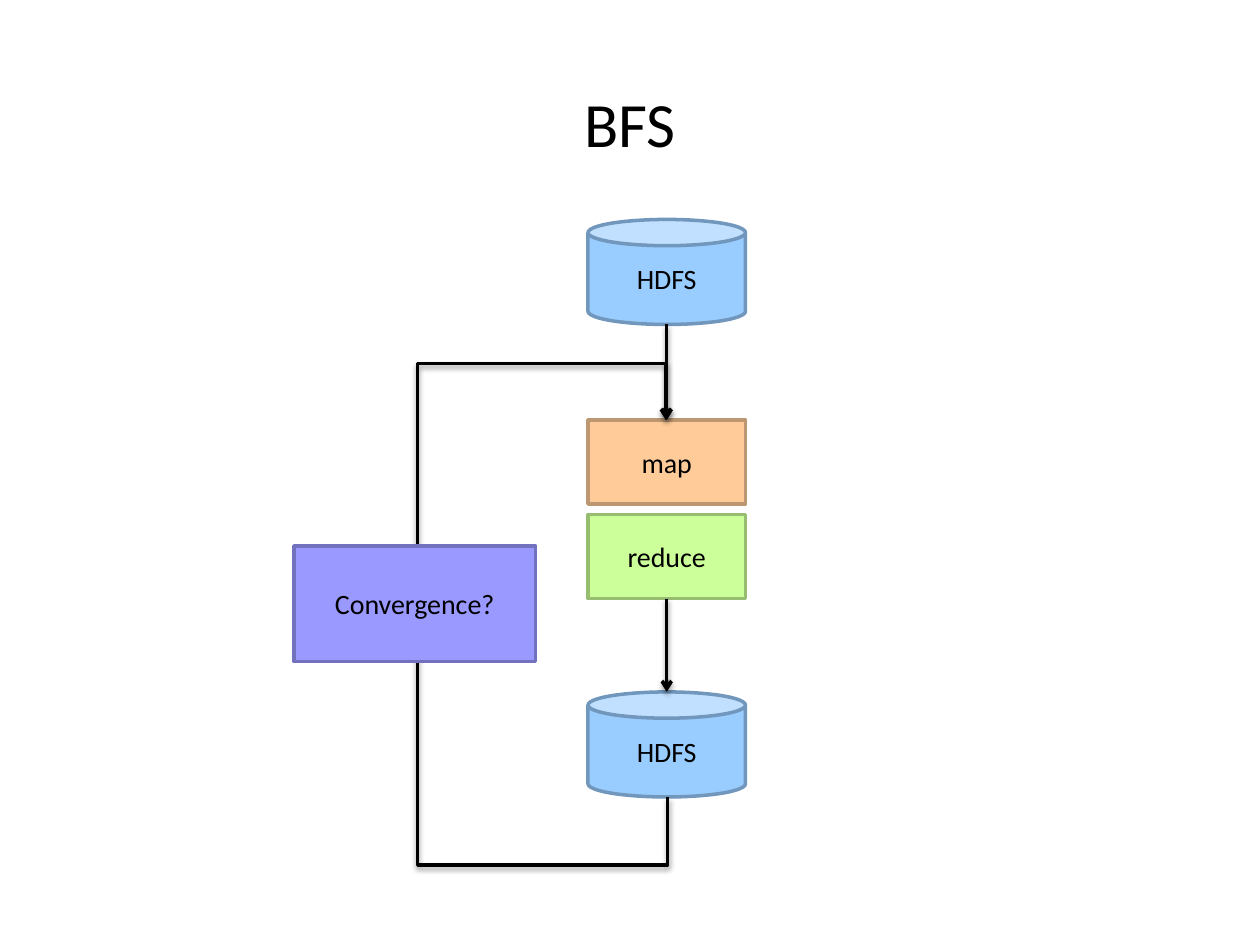
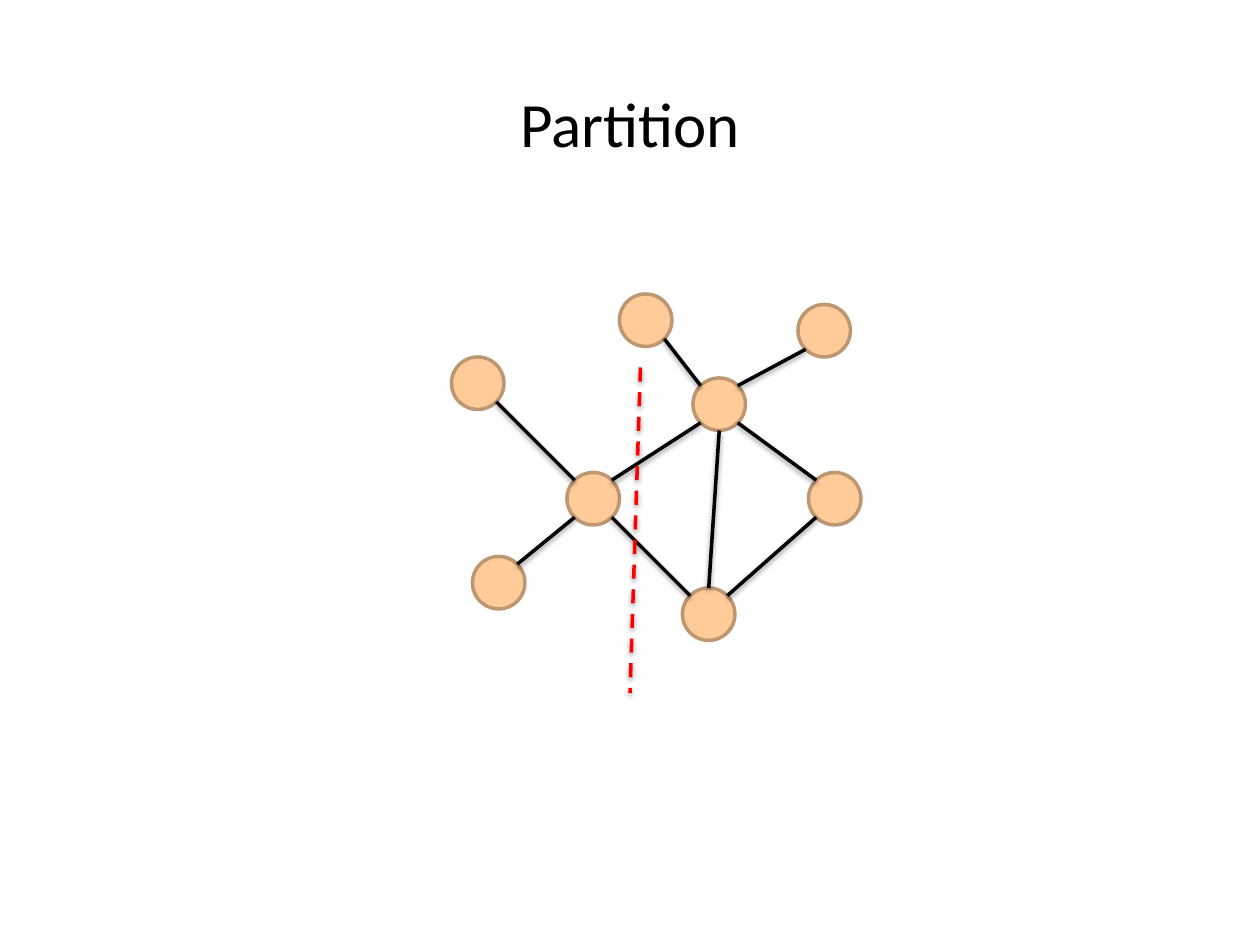
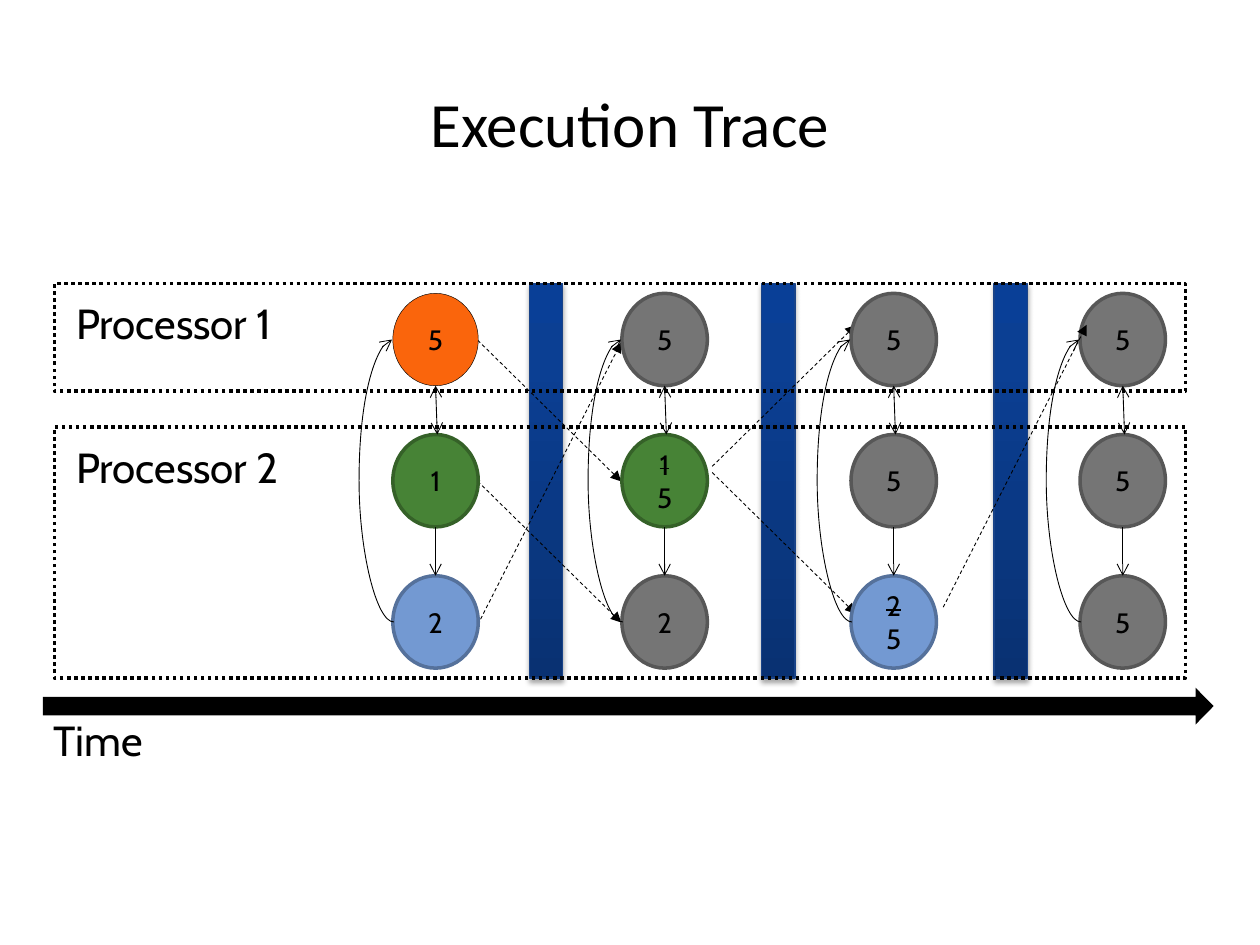
import math
from copy import deepcopy

from pptx import Presentation
from pptx.dml.color import RGBColor
from pptx.enum import dml, shapes, text
from pptx.oxml import ns
from pptx.oxml.xmlchemy import OxmlElement
from pptx.util import Pt

BLACK, RED = "000000", "FF0000"
# Fill and outline pairs
PEACH = ("FFCC99", "BD9771")
LIME = ("CCFF99", "97BD71")
SKY = ("99CCFF", "7197BD")
VIOLET = ("9999FF", "7171BD")
GRAY = ("757575", "575757")
GREEN = ("478336", "356128")
BLUE = ("7399D2", "55719B")
ORANGE = ("FA650C", BLACK)
BARRIER_STOPS = ((0, "093172"), (0.8, "0B3F93"), (1, "093F97"))
BODY, TRACE = "Calibri", "Cabin"

KIND = shapes.MSO_SHAPE
LINK = shapes.MSO_CONNECTOR
DASH = dml.MSO_LINE
CENTER = text.PP_ALIGN.CENTER
MIDDLE = text.MSO_ANCHOR.MIDDLE


def rgb(value):
    return RGBColor.from_string(value)


def child(parent, tag, **attributes):
    element = OxmlElement(tag)
    for name, value in attributes.items():
        element.set(name, str(value))
    parent.append(element)
    return element


# Shared formatting
def set_shadow(item, alpha=0, distance=1.6):
    """Give a soft shadow below, or none when alpha is 0."""
    effects = child(item._element.spPr, "a:effectLst")
    if alpha:
        outer = child(effects, "a:outerShdw", blurRad=Pt(3.1), dist=Pt(distance),
                      dir=5400000, rotWithShape=0)
        color = child(outer, "a:srgbClr", val=BLACK)
        child(color, "a:alpha", val=alpha * 1000)


def set_line(line, color, width, dash=None):
    line.color.rgb = rgb(color)
    line.width = Pt(width)
    if dash:
        line.dash_style = dash


def set_text(frame, words, size, font, align=None, anchor=None):
    frame.text = words
    frame.word_wrap = True
    frame.vertical_anchor = anchor
    for para in frame.paragraphs:
        para.alignment = align
        for span in para.runs:
            span.font.size = Pt(size)
            span.font.name = font
            span.font.color.rgb = rgb(BLACK)


def set_margins(frame):
    frame.margin_left = frame.margin_right = Pt(6)
    frame.margin_top = frame.margin_bottom = Pt(3)


def add_box(page, kind, left, top, width, height, colors=None, line_width=2, dash=None):
    box = page.shapes.add_shape(kind, Pt(left), Pt(top), Pt(width), Pt(height))
    if colors:
        box.fill.solid()
        box.fill.fore_color.rgb = rgb(colors[0])
    else:
        box.fill.background()
    set_line(box.line, colors[1] if colors else BLACK, line_width, dash)
    box.shadow.inherit = False
    return box


def add_line(page, start, end, color=BLACK, width=2, dash=None, head=None, tail=None,
             shadow=0, kind=LINK.STRAIGHT):
    line = page.shapes.add_connector(kind, *(Pt(value) for value in (*start, *end)))
    set_line(line.line, color, width, dash)
    outline = line.line._get_or_add_ln()
    for tag, arrow in (("a:headEnd", head), ("a:tailEnd", tail)):
        if arrow:
            child(outline, tag, type=arrow)
    set_shadow(line, shadow)
    return line


def bend(line, preset, degrees, *factors):
    """Turn a connector and set its bends as multiples of its own size."""
    properties = line._element.spPr
    properties.find(ns.qn("a:xfrm")).set("rot", str(degrees * 60000))
    geometry = properties.find(ns.qn("a:prstGeom"))
    geometry.set("prst", preset)
    for old in list(geometry):
        geometry.remove(old)
    guides = child(geometry, "a:avLst")
    for number, factor in enumerate(factors, 1):
        child(guides, "a:gd", name=f"adj{number}", fmla=f"val {round(factor * 100000)}")


def add_page(deck, heading):
    page = deck.slides.add_slide(deck.slide_layouts[5])
    title = page.shapes.title
    title.left, title.top, title.width, title.height = Pt(0), Pt(43), deck.slide_width, Pt(54)
    set_text(title.text_frame, heading, 36, BODY, CENTER, MIDDLE)
    return page


# Iterative search flow
def draw_flow(page, left, top):
    width, store_height, step_height = 90, 60, 48
    middle = left + width / 2

    def add_step(kind, words, x, y, w, h, colors):
        step = add_box(page, kind, x, y, w, h, colors)
        set_text(step.text_frame, words, 16, BODY, CENTER, MIDDLE)
        return step

    map_top, result_top = top + 114.6, top + 270
    reduce_top = map_top + 54
    result_bottom = result_top + store_height
    add_step(KIND.CAN, "HDFS", left, top, width, store_height, SKY)
    mapper = add_step(KIND.RECTANGLE, "map", left, map_top, width, step_height, PEACH)
    reducer = add_step(KIND.RECTANGLE, "reduce", left, reduce_top, width, step_height, LIME)
    add_step(KIND.CAN, "HDFS", left, result_top, width, store_height, SKY)

    arrow = dict(tail="arrow", shadow=38)
    add_line(page, (middle, top + store_height), (middle, map_top), **arrow).end_connect(mapper, 0)
    add_line(page, (middle, reduce_top + step_height), (middle, result_top),
             **arrow).begin_connect(reducer, 2)

    # Loop from the result back to the map step, laid flat and then turned upright
    reach = result_bottom - map_top
    center = (result_bottom + map_top) / 2
    loop = add_line(page, (middle + reach / 2, center - 0.5), (middle - reach / 2, center + 0.5),
                    kind=LINK.ELBOW, **arrow)
    bend(loop, "bentConnector5", 90, -0.18, 143.9, 1.15)
    add_step(KIND.RECTANGLE, "Convergence?", left - 168, top + 186.6, 138, 66, VIOLET)


# Graph cut in two
def draw_graph(page, left, top):
    radius = 15
    nodes = dict(west=(0, 36), inner=(66, 102), hub=(138, 48), south=(132, 168),
                 southwest=(12, 150), north=(96, 0), northeast=(198, 6), east=(204, 102))
    edges = (("west", "inner"), ("inner", "hub"), ("inner", "south"), ("inner", "southwest"),
             ("north", "hub"), ("northeast", "hub"), ("east", "south"), ("east", "hub"),
             ("hub", "south"))
    centers = {}
    for name, (x, y) in nodes.items():
        add_box(page, KIND.OVAL, left + x, top + y, 2 * radius, 2 * radius, PEACH)
        centers[name] = (left + x + radius, top + y + radius)

    # Edges leave a circle at the nearest eighth of a turn
    for first, last in edges:
        (x1, y1), (x2, y2) = centers[first], centers[last]
        eighth = math.pi / 4
        angle = round(math.atan2(y2 - y1, x2 - x1) / eighth) * eighth
        dx, dy = radius * math.cos(angle), radius * math.sin(angle)
        add_line(page, (x1 + dx, y1 + dy), (x2 - dx, y2 - dy), shadow=38)
    add_line(page, (left + 108, top + 42), (left + 102, top + 228), RED, dash=DASH.DASH, shadow=38)


# Execution trace
def draw_barrier(page, left, top, width, height):
    bar = add_box(page, KIND.RECTANGLE, left, top, width, height, ("093F97", "194388"), 0.75)
    bar.fill.gradient()
    bar.fill.gradient_angle = 90
    stops = bar._element.spPr.find(".//" + ns.qn("a:gsLst"))
    stops.append(deepcopy(stops[0]))
    for stop, (position, color) in zip(bar.fill.gradient_stops, BARRIER_STOPS):
        stop.position = position
        stop.color.rgb = rgb(color)
    bar._element.spPr.remove(bar._element.spPr.find(ns.qn("a:effectLst")))
    set_shadow(bar, 35, 1.8)


def draw_stage(page, left, top, vertices):
    width, height, pitch = 48.8, 52.8, 80.7
    middle = left + width / 2
    for row, (words, colors) in enumerate(vertices):
        vertex = add_box(page, KIND.OVAL, left, top + row * pitch, width, height, colors,
                         0.25 if colors == ORANGE else 2)
        set_text(vertex.text_frame, words, 16, TRACE, CENTER, MIDDLE)
        set_margins(vertex.text_frame)
        paras = vertex.text_frame.paragraphs
        for para in paras[:-1]:  # replaced values are struck out
            para.runs[0]._r.get_or_add_rPr().set("strike", "sngStrike")
    add_line(page, (middle, top + height), (middle + 1, top + pitch), width=0.5,
             head="arrow", tail="arrow")
    add_line(page, (middle, top + pitch + height), (middle, top + 2 * pitch), width=0.5,
             tail="arrow")
    first = top + height / 2
    back = add_line(page, (left - 0.5, first), (left + 0.5, first + 2 * pitch), width=0.5,
                    tail="arrow", kind=LINK.CURVE)
    bend(back, "curvedConnector3", 180, 20)


def draw_trace(page, left, top):
    height = 225.4
    stages = ((("5", ORANGE), ("1", GREEN), ("2", BLUE)),
              (("5", GRAY), ("1\n5", GREEN), ("2", GRAY)),
              (("5", GRAY), ("5", GRAY), ("2\n5", BLUE)),
              (("5", GRAY), ("5", GRAY), ("5", GRAY)))
    # Start of each message and the rows it crosses
    messages = ((242, 32.4, 1), (242, 113, 1), (242, 195, -2),
                (376, 104.5, -1), (376, 108, 1), (508, 185, -2))

    def draw_messages(group):
        for x, y, rows in group:
            add_line(page, (left + x, top + y), (left + x + 82, top + y + rows * 80.7),
                     width=0.5, dash=DASH.DASH, tail="triangle")

    def add_label(words, x, y, width):
        label = page.shapes.add_textbox(Pt(x), Pt(y), Pt(width), Pt(35))
        set_text(label.text_frame, words, 24, TRACE)
        set_margins(label.text_frame)

    for index in range(3):
        draw_barrier(page, left + 271.5 + index * 132.8, top, 19, height)
    draw_messages(messages[:-1])
    for index, vertices in enumerate(stages):
        draw_stage(page, left + 193.5 + index * 130.9, top + 5.6, vertices)
    draw_messages(messages[-1:])

    # Processor lanes
    for words, lane_top, lane_height, label_top in (("Processor 1", 0, 61.5, 5),
                                                    ("Processor 2", 82, height - 82, 87)):
        add_box(page, KIND.RECTANGLE, left, top + lane_top, 646.5, lane_height,
                dash=DASH.ROUND_DOT)
        add_label(words, left + 6.5, top + label_top, 160)

    # Time axis
    axis = add_box(page, KIND.RIGHT_ARROW, left - 6.5, top + 231, 669, 21, (BLACK, BLACK))
    axis.line.fill.background()
    axis.adjustments[1] = 0.49
    add_label("Time", left - 6.5, top + 243.5, 180)


def main():
    deck = Presentation()
    deck.slide_width, deck.slide_height = Pt(720), Pt(540)
    draw_flow(add_page(deck, "BFS"), 336, 125.4)
    draw_graph(add_page(deck, "Partition"), 258, 168)
    draw_trace(add_page(deck, "Execution Trace"), 31, 162)
    deck.save("out.pptx")


if __name__ == "__main__":
    main()
